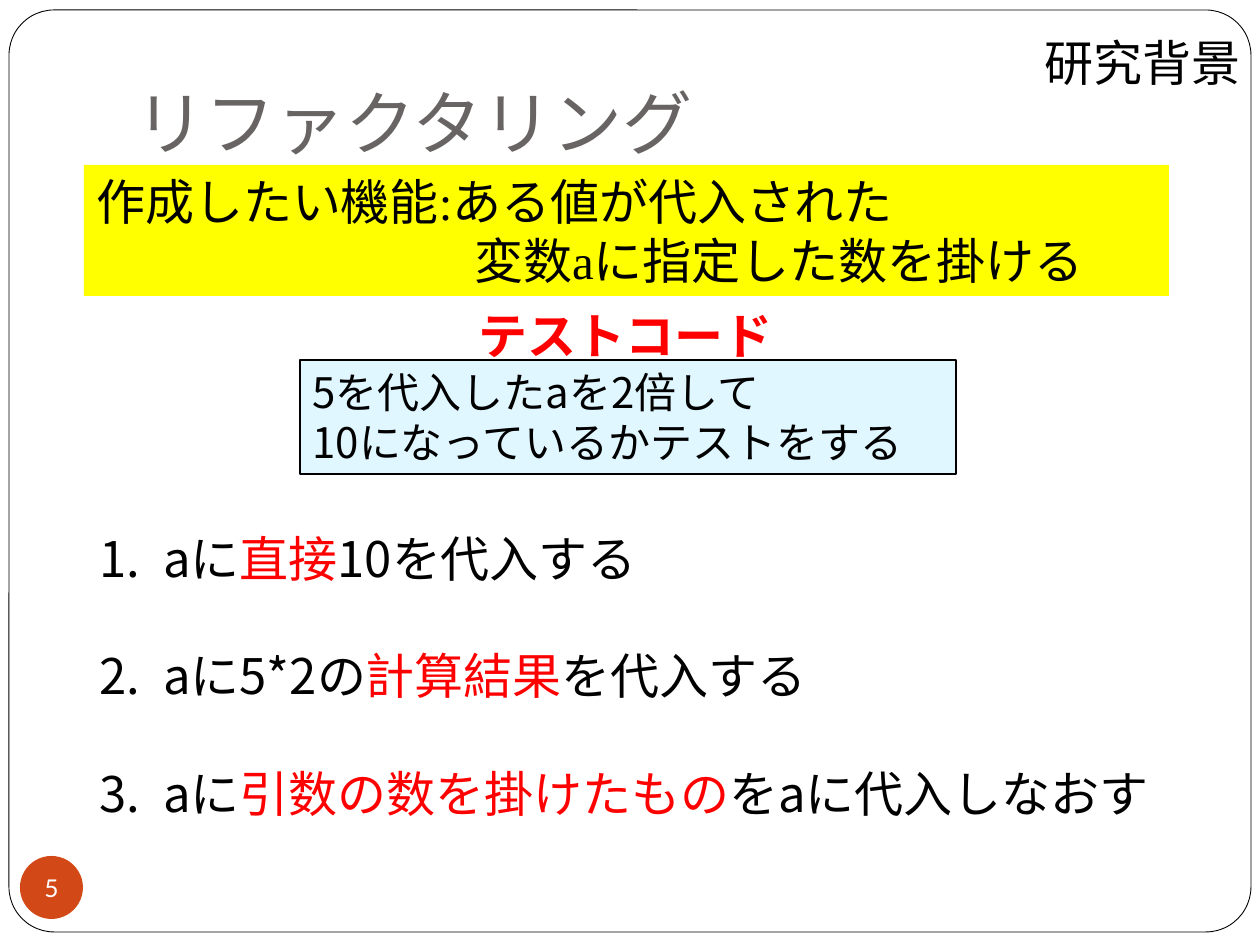
import pptx
import pptx.util
import pptx.dml.color
import pptx.enum.shapes
import pptx.enum.text
import pptx.oxml.ns
import lxml.etree

PX = 914400 / 126
JAPANESE = "Noto Sans CJK JP"
SERIF = "Times New Roman"
SHAPE = pptx.enum.shapes.MSO_SHAPE
ANCHOR = pptx.enum.text.MSO_ANCHOR
ALIGN = pptx.enum.text.PP_ALIGN


def color(value):
    return pptx.dml.color.RGBColor.from_string(value)


def write(para, text, size=28, font=JAPANESE, ink="000000", bold=False):
    span = para.add_run()
    span.text = text
    span.font.size = pptx.util.Pt(size)
    span.font.name = font
    span.font.bold = bold
    span.font.color.rgb = color(ink)
    east_asian = lxml.etree.SubElement(span.font._element, pptx.oxml.ns.qn("a:ea"))
    east_asian.set("typeface", JAPANESE)


deck = pptx.Presentation()
deck.slide_width = round(1260 * PX)
deck.slide_height = round(945 * PX)
page = deck.slides.add_slide(deck.slide_layouts[5])
title = page.shapes.title

shapes = {}
for name, kind, bounds, fill, line in [
    ("frame", SHAPE.ROUNDED_RECTANGLE, (9, 10, 1242, 922), "FFFFFF", 0.5),
    ("number", SHAPE.OVAL, (20, 856, 63, 63), "D34817", None),
    ("test", SHAPE.RECTANGLE, (300, 360, 656, 114), "E1F7FF", 0.75),
    ("feature", SHAPE.RECTANGLE, (84, 165, 1085, 131), "FFFF00", None),
]:
    shape = page.shapes.add_shape(kind, *[round(length * PX) for length in bounds])
    shape.shadow.inherit = False
    shape.fill.solid()
    shape.fill.fore_color.rgb = color(fill)
    if line:
        shape.line.color.rgb = color("000000")
        shape.line.width = pptx.util.Pt(line)
    else:
        shape.line.fill.background()
    shapes[name] = shape
shapes["frame"].adjustments[0] = 0.049
shapes["frame"]._element.addnext(title._element)

title.left, title.top, title.width, title.height = [
    round(length * PX) for length in (123, 19, 1071, 158)
]
title.text_frame.auto_size = pptx.enum.text.MSO_AUTO_SIZE.NONE
title.text_frame.vertical_anchor = ANCHOR.BOTTOM
title.text_frame.margin_bottom = round(13 * PX)
title.text_frame.paragraphs[0].alignment = ALIGN.LEFT
write(title.text_frame.paragraphs[0], "リファクタリング", size=40, font="Lato", ink="696464")

for text, bounds, style in [
    ("研究背景", (1032, 26, 223, 72), {}),
    ("テストコード", (466, 299, 324, 72), {"font": SERIF, "ink": "FF0000", "bold": True}),
]:
    box = page.shapes.add_textbox(*[round(length * PX) for length in bounds])
    box.text_frame.word_wrap = False
    write(box.text_frame.paragraphs[0], text, **style)

number = shapes["number"].text_frame
number.margin_left = number.margin_right = number.margin_top = number.margin_bottom = 0
number.vertical_anchor = ANCHOR.MIDDLE
number.word_wrap = False
number.paragraphs[0].alignment = ALIGN.CENTER
write(number.paragraphs[0], "5", size=14, font="Lato", ink="FFFFFF")

for name, lines, style in [
    ("test", ["5を代入したaを2倍して", "10になっているかテストをする"], {"size": 24}),
    ("feature", ["作成したい機能:ある値が代入された", "変数aに指定した数を掛ける"], {"font": SERIF}),
]:
    frame = shapes[name].text_frame
    frame.vertical_anchor = ANCHOR.TOP
    for para, text in zip([frame.paragraphs[0], frame.add_paragraph()], lines):
        para.alignment = ALIGN.LEFT
        write(para, text, **style)
indent = shapes["feature"].text_frame.paragraphs[1]._p.get_or_add_pPr()
indent.set("marL", str(round(378 * PX)))

steps = page.shapes.add_textbox(*[round(length * PX) for length in (87, 522, 1080, 310)])
steps.text_frame.word_wrap = True
for index, (before, key, after) in enumerate([
    ("aに", "直接", "10を代入する"),
    ("aに5*2の", "計算結果", "を代入する"),
    ("aに", "引数の数を掛けたもの", "をaに代入しなおす"),
]):
    para = steps.text_frame.add_paragraph() if index else steps.text_frame.paragraphs[0]
    if index:
        para.space_before = pptx.util.Pt(33.5)
    properties = para._p.get_or_add_pPr()
    properties.set("marL", str(round(64 * PX)))
    properties.set("indent", str(round(-64 * PX)))
    bullet = lxml.etree.SubElement(properties, pptx.oxml.ns.qn("a:buAutoNum"))
    bullet.set("type", "arabicPeriod")
    write(para, before)
    write(para, key, ink="FF0000")
    write(para, after)

deck.save("out.pptx")
